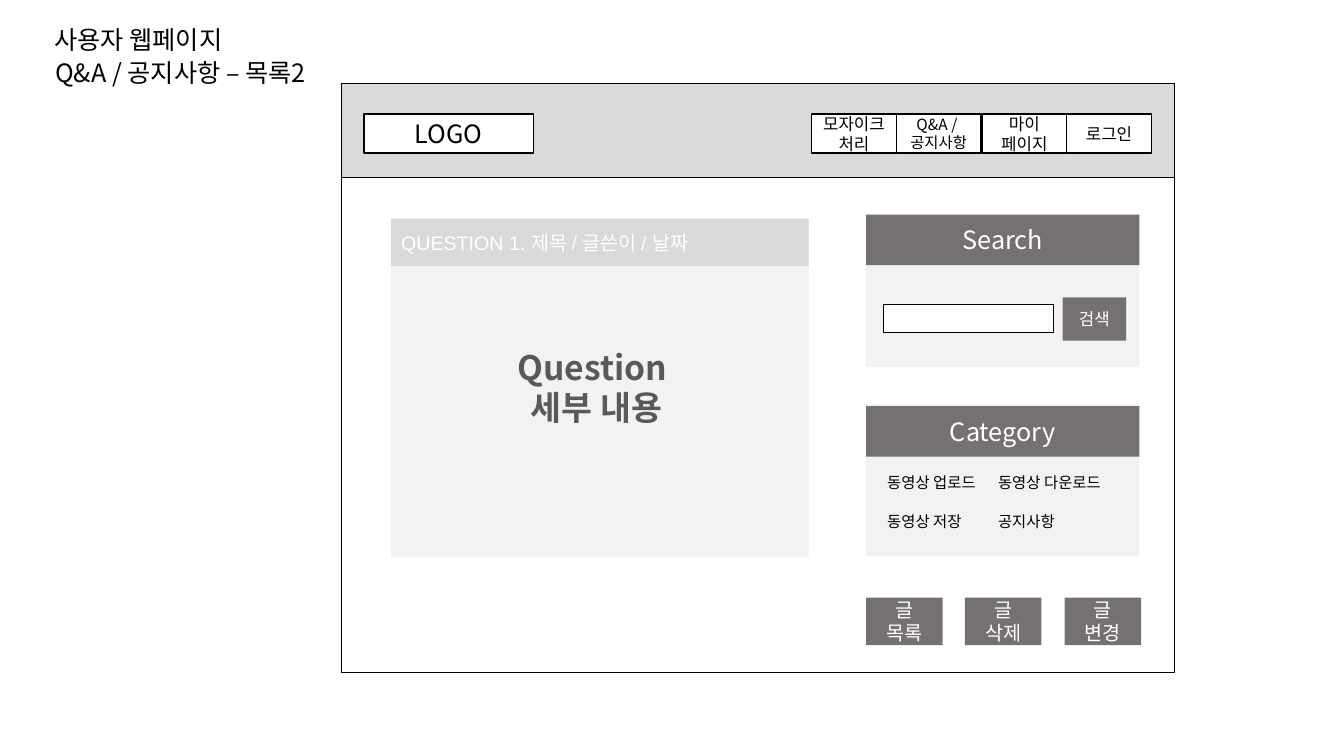
from lxml.etree import SubElement
from pptx import Presentation
from pptx.dml.color import RGBColor
from pptx.enum.shapes import MSO_SHAPE as Shape
from pptx.enum.text import MSO_ANCHOR as Anchor, MSO_AUTO_SIZE as AutoSize, PP_ALIGN as Align
from pptx.oxml.ns import qn
from pptx.util import Emu, Pt

BLACK = RGBColor(0x00, 0x00, 0x00)
WHITE = RGBColor(0xFF, 0xFF, 0xFF)
PALE = RGBColor(0xF2, 0xF2, 0xF2)
SILVER = RGBColor(0xD9, 0xD9, 0xD9)
GRAY = RGBColor(0x76, 0x71, 0x71)
DARK = RGBColor(0x59, 0x59, 0x59)


class Wireframe:
    font = "Noto Sans CJK KR"
    scale = 9144

    def __init__(self, presentation):
        self.slide = presentation.slides.add_slide(presentation.slide_layouts[6])

    def px(self, *lengths):
        return [Emu(length * self.scale) for length in lengths]

    def set_text(self, shape, text, size, color, align, font=None, bold=False):
        text_frame = shape.text_frame
        text_frame.word_wrap = True
        text_frame.text = text
        for paragraph in text_frame.paragraphs:
            paragraph.alignment = align
            for run in paragraph.runs:
                run.font.name = font or self.font
                run.font.size = Pt(size)
                run.font.bold = bold
                run.font.color.rgb = color
                east_asian = SubElement(run.font._element, qn("a:ea"))
                east_asian.set("typeface", self.font)

    def box(self, left, top, width, height, fill=None, outlined=False):
        shape = self.slide.shapes.add_shape(Shape.RECTANGLE, *self.px(left, top, width, height))
        shape.shadow.inherit = False
        if fill is None:
            shape.fill.background()
        else:
            shape.fill.solid()
            shape.fill.fore_color.rgb = fill
        if outlined:
            shape.line.color.rgb = BLACK
            shape.line.width = Pt(1)
        else:
            shape.line.fill.background()
        return shape

    def label_box(self, bounds, text, size, fill=GRAY, color=WHITE, outlined=False,
                  align=Align.CENTER, font=None):
        shape = self.box(*bounds, fill, outlined)
        shape.text_frame.vertical_anchor = Anchor.MIDDLE
        self.set_text(shape, text, size, color, align, font)

    def text(self, bounds, text, size, color=BLACK, align=Align.LEFT, bold=False):
        shape = self.slide.shapes.add_textbox(*self.px(*bounds))
        self.set_text(shape, text, size, color, align, bold=bold)
        shape.text_frame.auto_size = AutoSize.SHAPE_TO_FIT_TEXT

    def panel(self, top, header_top, title):
        self.box(859, top, 271, 151, PALE)
        self.label_box((859, header_top, 271, 50), title, 18)


def main():
    presentation = Presentation()
    presentation.slide_width = Emu(1333 * Wireframe.scale)
    presentation.slide_height = Emu(750 * Wireframe.scale)
    page = Wireframe(presentation)

    page.text((44, 19, 201, 40), "사용자 웹페이지", 18)
    page.text((45, 52, 285, 40), "Q&A / 공지사항 – 목록2", 18)

    page.box(339, 83, 826, 93, SILVER, outlined=True)
    page.box(339, 83, 826, 584, outlined=True)
    page.label_box((361, 113, 168, 39), "LOGO", 18, WHITE, BLACK, outlined=True)
    menu = [("모자이크 처리", 12), ("Q&A / \n공지사항", 11), ("마이\n페이지", 12), ("로그인", 12)]
    for index, (name, size) in reversed(list(enumerate(menu))):
        bounds = (805 + round(index * 84.33), 113, 84, 39)
        page.label_box(bounds, name, size, WHITE, BLACK, outlined=True)

    page.box(388, 217, 414, 336, PALE)
    page.label_box((388, 217, 414, 47), "QUESTION 1. 제목 / 글쓴이 / 날짜", 14, SILVER,
                   align=Align.LEFT, font="Arial")
    page.text((478, 339, 227, 91), "Question \n세부 내용", 24, DARK, Align.CENTER, bold=True)

    page.panel(213, 213, "Search")
    page.box(876, 302, 169, 28, WHITE, outlined=True)
    page.label_box((1054, 295, 63, 43), "검색", 12)

    page.panel(401, 403, "Category")
    categories = [["동영상 업로드", "동영상 다운로드"], ["동영상 저장", "공지사항"]]
    for row, names in enumerate(categories):
        for column, name in enumerate(names):
            page.text((870 + column * 110, 464 + row * 39, 152, 29), name, 11)

    for index, name in enumerate(["글 목록", "글 삭제", "글 변경"]):
        page.label_box((859 + round(index * 98.5), 593, 76, 47), name, 14)

    presentation.save("out.pptx")


if __name__ == "__main__":
    main()
